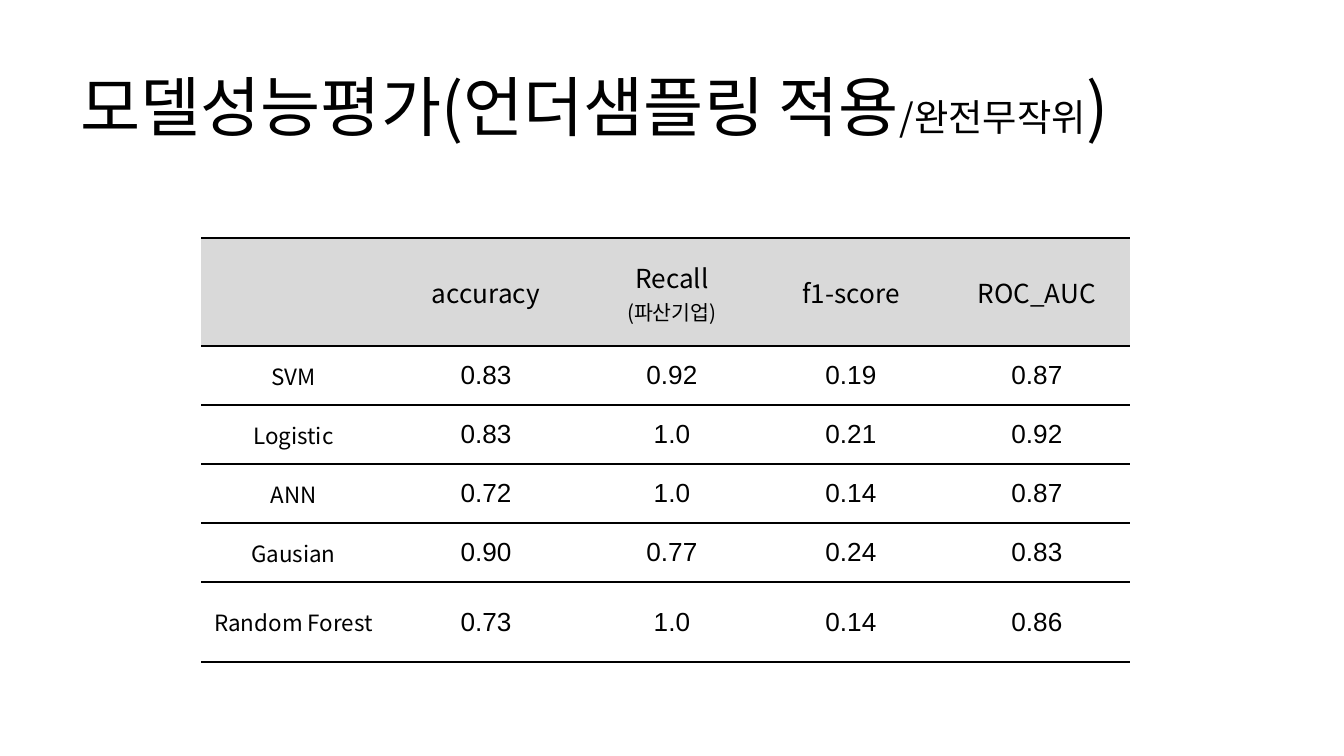
from lxml import etree
from pptx import Presentation
from pptx import util as u
from pptx.dml.color import RGBColor
from pptx.enum import text
from pptx.oxml import ns

PX = 914400 / 134.4
COLORS = {"ink": "000000", "header": "D9D9D9", "body": "FFFFFF"}
KOREAN, NUMBERS = "Noto Sans CJK KR", "Arial"


def px(value):
    return u.Emu(round(value * PX))


def format_run(run, size, font):
    run.font.size = u.Pt(size)
    run.font.name = font
    run.font.color.rgb = RGBColor.from_string(COLORS["ink"])
    east_asian = etree.SubElement(run.font._element, ns.qn("a:ea"))
    east_asian.set("typeface", font)


presentation = Presentation()
presentation.slide_width, presentation.slide_height = px(1344), px(756)
slide = presentation.slides.add_slide(presentation.slide_layouts[5])

title = slide.shapes.title
title.left, title.top, title.width, title.height = map(px, (67, 54, 1210, 102))
title.text_frame.vertical_anchor = text.MSO_ANCHOR.MIDDLE
title.text_frame.auto_size = text.MSO_AUTO_SIZE.NONE
paragraph = title.text_frame.paragraphs[0]
paragraph.alignment = text.PP_ALIGN.LEFT
for words, size in [("모델성능평가(언더샘플링 적용", 35), ("/완전무작위", 20), (")", 35)]:
    run = paragraph.add_run()
    run.text = words
    format_run(run, size, KOREAN)

rows = [
    ["", "accuracy", "Recall\n(파산기업)", "f1-score", "ROC_AUC"],
    ["SVM", "0.83", "0.92", "0.19", "0.87"],
    ["Logistic", "0.83", "1.0", "0.21", "0.92"],
    ["ANN", "0.72", "1.0", "0.14", "0.87"],
    ["Gausian", "0.90", "0.77", "0.24", "0.83"],
    ["Random Forest", "0.73", "1.0", "0.14", "0.86"],
]
widths = [185, 200, 172, 186, 186]
heights = [108, 59, 59, 59, 59, 80]
table = slide.shapes.add_table(
    len(rows), len(widths), px(201), px(238), px(sum(widths)), px(sum(heights))
).table
for column, width in zip(table.columns, widths):
    column.width = px(width)
for row, height in zip(table.rows, heights):
    row.height = px(height)

for r, values in enumerate(rows):
    for c, value in enumerate(values):
        cell = table.cell(r, c)
        is_header, is_number = r == 0, r > 0 and c > 0
        cell.text_frame.text = value
        cell.vertical_anchor = text.MSO_ANCHOR.MIDDLE
        cell.margin_left = cell.margin_right = px(10 if is_number else 13)
        cell.margin_top = cell.margin_bottom = px(12 if is_number else 13)
        for line, paragraph in enumerate(cell.text_frame.paragraphs):
            paragraph.alignment = text.PP_ALIGN.CENTER
            size = 11 if line else 14 if is_header or is_number else 12
            for run in paragraph.runs:
                run.font.bold = False
                format_run(run, size, NUMBERS if is_number else KOREAN)
        cell.fill.solid()
        cell.fill.fore_color.rgb = RGBColor.from_string(COLORS["header" if is_header else "body"])

        properties = cell._tc.get_or_add_tcPr()
        for position, side in enumerate("LRTB"):
            border = etree.Element(ns.qn(f"a:ln{side}"), w=str(u.Pt(1)))
            if side in "TB":
                fill = etree.SubElement(border, ns.qn("a:solidFill"))
                etree.SubElement(fill, ns.qn("a:srgbClr"), val=COLORS["ink"])
            else:
                etree.SubElement(border, ns.qn("a:noFill"))
            properties.insert(position, border)

presentation.save("out.pptx")
